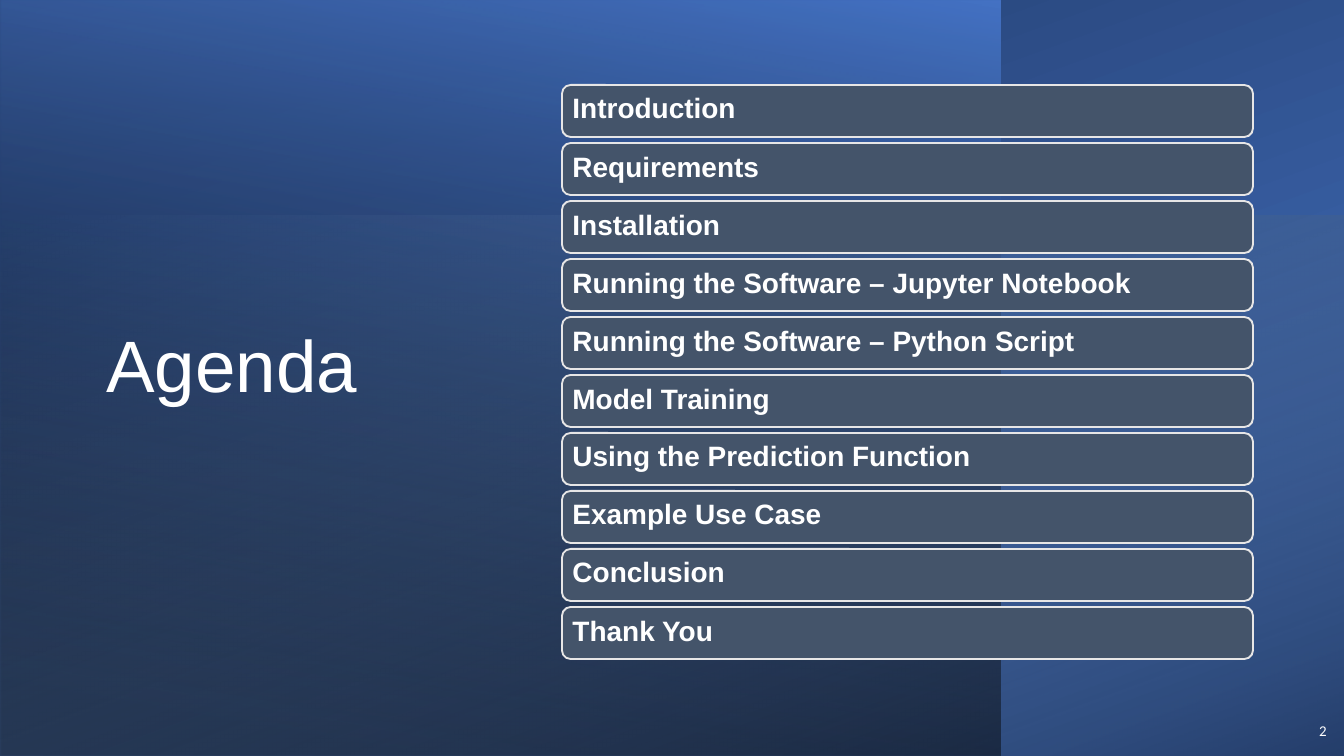
"""Build the agenda slide."""
from lxml import etree
from pptx import Presentation
from pptx.dml.color import RGBColor
from pptx.enum.shapes import MSO_SHAPE
from pptx.enum.text import MSO_ANCHOR, PP_ALIGN
from pptx.oxml.ns import qn
from pptx.util import Emu, Pt

RECT = MSO_SHAPE.RECTANGLE
ROUND = MSO_SHAPE.ROUNDED_RECTANGLE
MIDDLE = MSO_ANCHOR.MIDDLE
LEFT, RIGHT = PP_ALIGN.LEFT, PP_ALIGN.RIGHT

BLACK = RGBColor(0x00, 0x00, 0x00)
WHITE = RGBColor(0xFF, 0xFF, 0xFF)
BLUE = RGBColor(0x44, 0x72, 0xC4)
NAVY = RGBColor(0x20, 0x38, 0x64)
SKY = RGBColor(0x9D, 0xC3, 0xE6)
SLATE = RGBColor(0x44, 0x54, 0x6A)
PALE = RGBColor(0xE7, 0xE6, 0xE6)

WIDTH, HEIGHT = 1344, 756
SCALE = 914400 * 10 / WIDTH
TOPICS = [
    "Introduction",
    "Requirements",
    "Installation",
    "Running the Software – Jupyter Notebook",
    "Running the Software – Python Script",
    "Model Training",
    "Using the Prediction Function",
    "Example Use Case",
    "Conclusion",
    "Thank You",
]


def px(*sizes):
    return [Emu(round(size * SCALE)) for size in sizes]


class Deck:
    def __init__(self):
        self.show = Presentation()
        self.show.slide_width, self.show.slide_height = px(WIDTH, HEIGHT)
        self.slide = self.show.slides.add_slide(self.show.slide_layouts[6])

    def panel(self, left, top, width, height, turn, angle, stops):
        if turn == 270:
            left += (width - height) // 2
            top += (height - width) // 2
            width, height = height, width
        shape = self.slide.shapes.add_shape(RECT, *px(left, top, width, height))
        shape.shadow.inherit = False
        shape.line.fill.background()
        shape.rotation = turn
        shape.element.spPr.find(qn("a:xfrm")).set("flipH", "1")
        shape.fill.gradient()
        shape.fill.gradient_angle = 360 - angle
        for stop, (place, color, _) in zip(shape.fill.gradient_stops, stops):
            stop.position = place
            stop.color.rgb = color
        tints = shape.element.spPr.find(qn("a:gradFill")).iter(qn("a:srgbClr"))
        for tint, (_, _, alpha) in zip(tints, stops):
            if alpha < 100:
                etree.SubElement(tint, qn("a:alpha")).set("val", str(alpha * 1000))

    def letter(self, shape, text, size, font="Arial", bold=False, align=LEFT, space=0.9):
        frame = shape.text_frame
        frame.word_wrap = True
        frame.vertical_anchor = MIDDLE
        frame.text = text
        para = frame.paragraphs[0]
        para.alignment = align
        para.line_spacing = space
        style = para.runs[0].font
        style.name, style.size, style.bold = font, Pt(size), bold
        style.color.rgb = WHITE

    def label(self, left, top, width, height, text, size, **style):
        box = self.slide.shapes.add_textbox(*px(left, top, width, height))
        self.letter(box, text, size, **style)

    def bar(self, left, top, width, height, text):
        shape = self.slide.shapes.add_shape(ROUND, *px(left, top, width, height))
        shape.shadow.inherit = False
        shape.fill.solid()
        shape.fill.fore_color.rgb = SLATE
        shape.line.color.rgb = PALE
        shape.line.width = Pt(1)
        frame = shape.text_frame
        frame.margin_left, frame.margin_right = px(8, 8)
        frame.margin_top, frame.margin_bottom = px(8, 10)
        self.letter(shape, text, 15, bold=True)


def main():
    deck = Deck()
    deck.panel(0, 0, WIDTH, HEIGHT, 270, 200,
               [(0.08, BLUE, 100), (1, NAVY, 100)])
    deck.panel(0, 0, 1000, HEIGHT, 180, 80,
               [(0.08, BLACK, 52), (1, BLUE, 100)])
    deck.panel(0, 216, WIDTH, 540, 270, 20,
               [(0, SKY, 0), (1, BLACK, 46)])
    deck.label(1290, 711, 50, 40, "2", 8, font="Calibri", align=RIGHT, space=1.0)
    deck.label(93, 62, 372, 614, "Agenda", 39)
    for row, topic in enumerate(TOPICS):
        deck.bar(562, 85 + 58 * row, 691, 52, topic)
    deck.show.save("out.pptx")


if __name__ == "__main__":
    main()
